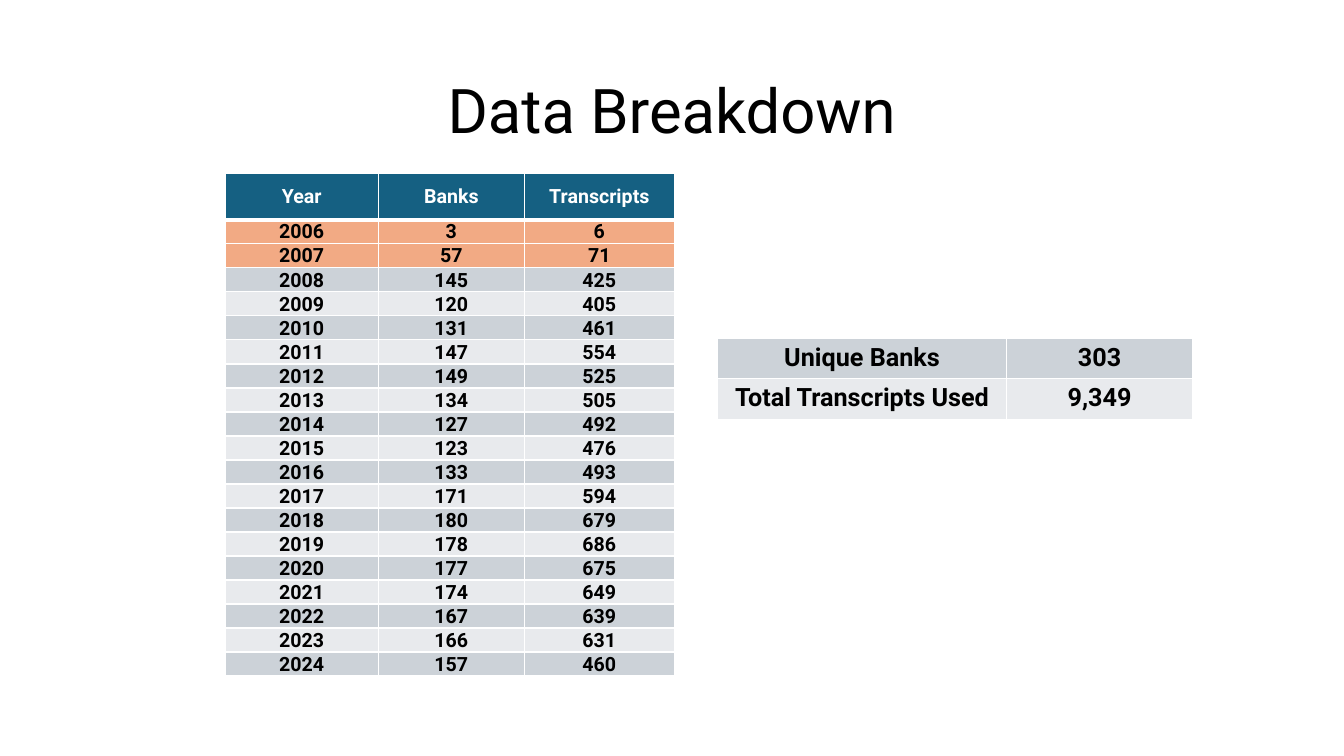
"""Build the Data Breakdown slide with yearly and total counts."""
from lxml import etree
from pptx import Presentation
from pptx.dml.color import RGBColor
from pptx.enum import text
from pptx.oxml import ns
from pptx.util import Cm, Pt

TITLE = "Data Breakdown"
HEADER = ("Year", "Banks", "Transcripts")
YEARS = [
    (2006, 3, 6),
    (2007, 57, 71),
    (2008, 145, 425),
    (2009, 120, 405),
    (2010, 131, 461),
    (2011, 147, 554),
    (2012, 149, 525),
    (2013, 134, 505),
    (2014, 127, 492),
    (2015, 123, 476),
    (2016, 133, 493),
    (2017, 171, 594),
    (2018, 180, 679),
    (2019, 178, 686),
    (2020, 177, 675),
    (2021, 174, 649),
    (2022, 167, 639),
    (2023, 166, 631),
    (2024, 157, 460),
]
TOTALS = [("Unique Banks", "303"), ("Total Transcripts Used", "9,349")]

FONT = "Roboto"
BLACK, WHITE = "000000", "FFFFFF"
BLUE, ORANGE = "156082", "F2AA84"
BANDS = ("CCD2D8", "E8EAED")
FIRST_USED_YEAR = 2008
TIGHT = {
    "margin_left": Cm(0.02),
    "margin_right": Cm(0.02),
    "margin_top": Cm(0.02),
    "margin_bottom": 0,
    "vertical_anchor": text.MSO_ANCHOR.MIDDLE,
}


def color(value):
    return RGBColor.from_string(value)


def apply(target, formats):
    for name, value in formats.items():
        setattr(target, name, value)


def style_text(paragraph, size, ink, bold):
    paragraph.alignment = text.PP_ALIGN.CENTER
    font = paragraph.runs[0].font
    apply(font, {"name": FONT, "size": Pt(size), "bold": bold})
    font.color.rgb = color(ink)


def add_borders(cell, widths):
    properties = cell._tc.get_or_add_tcPr()
    for side, width in zip("LRTB", widths):
        line = etree.SubElement(properties, ns.qn(f"a:ln{side}"), w=str(Pt(width)))
        fill = etree.SubElement(line, ns.qn("a:solidFill"))
        etree.SubElement(fill, ns.qn("a:srgbClr"), val=WHITE)


def add_grid(slide, rows, place, widths, heights, fills, size, header=False, formats=None):
    left, top = place
    table = slide.shapes.add_table(
        len(rows), len(widths), Cm(left), Cm(top), Cm(sum(widths)), Cm(sum(heights))
    ).table
    apply(table, {"first_row": header, "horz_banding": False})
    for column, width in zip(table.columns, widths):
        column.width = Cm(width)
    for index, (row, height) in enumerate(zip(rows, heights)):
        table.rows[index].height = Cm(height)
        is_header = header and index == 0
        above = 3 if header and index == 1 else 1
        below = 3 if is_header else 1
        for cell, value in zip(table.rows[index].cells, row):
            cell.text = str(value)
            apply(cell, formats or {})
            add_borders(cell, (1, 1, above, below))
            cell.fill.solid()
            cell.fill.fore_color.rgb = color(fills[index])
            style_text(cell.text_frame.paragraphs[0], size, WHITE if is_header else BLACK, True)


def main():
    deck = Presentation()
    apply(deck, {"slide_width": Cm(33.87), "slide_height": Cm(19.05)})
    slide = deck.slides.add_slide(deck.slide_layouts[5])

    title = slide.shapes.title
    apply(title, {"left": Cm(2.33), "top": Cm(1.01), "width": Cm(29.21), "height": Cm(3.68)})
    title.text_frame.text = TITLE
    apply(title.text_frame, {
        "vertical_anchor": text.MSO_ANCHOR.MIDDLE,
        "auto_size": text.MSO_AUTO_SIZE.NONE,
    })
    heading = title.text_frame.paragraphs[0]
    heading.line_spacing = 0.9
    style_text(heading, 44, BLACK, False)

    year_fills = [ORANGE if year < FIRST_USED_YEAR else BANDS[year % 2] for year, *_ in YEARS]
    add_grid(slide, [HEADER, *YEARS], (5.67, 4.38), (3.87, 3.67, 3.79),
             [1.16] + [0.6] * len(YEARS), [BLUE, *year_fills], 14, True, TIGHT)
    add_grid(slide, TOTALS, (18.09, 8.52), (7.27, 4.7), (1.02, 1.04), BANDS, 18)
    deck.save("out.pptx")


if __name__ == "__main__":
    main()
